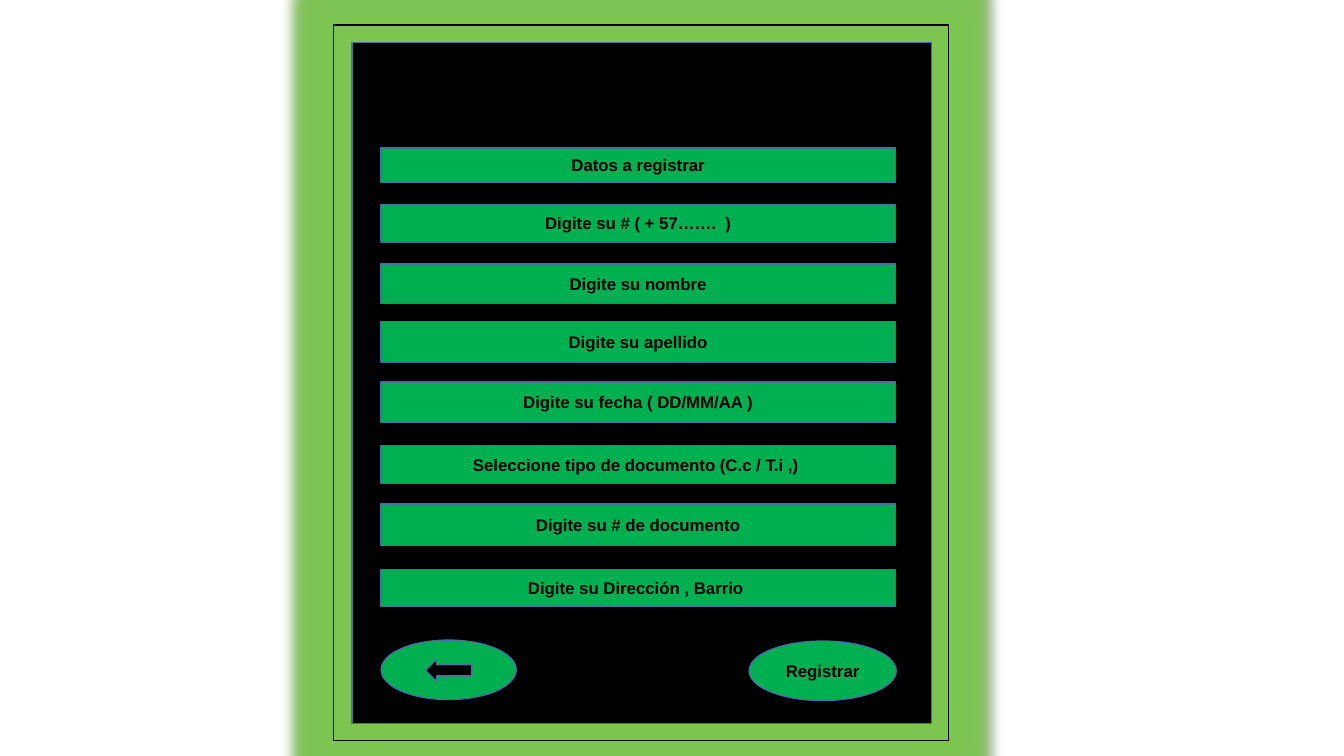
import pptx
import pptx.dml.color
import pptx.enum.shapes
import pptx.enum.text
import pptx.oxml
import pptx.oxml.ns
import pptx.util

SHAPES = pptx.enum.shapes.MSO_SHAPE
GREEN, BLACK, EDGE, GLOW = "00B050", "000000", "43739E", "7CC74F"

# label, top, height
FIELDS = [
    ("Datos a registrar", 1.47, 0.34),
    ("Digite su # ( + 57…….  )", 2.03, 0.37),
    ("Digite su nombre", 2.62, 0.39),
    ("Digite su apellido", 3.19, 0.4),
    ("Digite su fecha ( DD/MM/AA )", 3.79, 0.4),
    ("Seleccione tipo de documento (C.c / T.i ,) ", 4.42, 0.38),
    ("Digite su # de documento", 5, 0.41),
    ("Digite su Dirección , Barrio ", 5.65, 0.37),
]
FIELD_LEFT, FIELD_WIDTH = 3.78, 5.1
FRAME = (3.31, 0.25, 6.1, 7.1)
PANEL = (3.49, 0.42, 5.75, 6.76)
BACK_BUTTON = (FIELD_LEFT, 6.35, 1.34, 0.59)
BACK_ARROW = (4.22, 6.54, 0.46, 0.22)
REGISTER_BUTTON = (7.43, 6.36, 1.46, 0.59)


def rgb(value):
    return pptx.dml.color.RGBColor.from_string(value)


def add_box(slide, kind, place, fill=GREEN, line=EDGE):
    box = slide.shapes.add_shape(kind, *(pptx.util.Inches(n) for n in place))
    box.shadow.inherit = False
    if fill:
        box.fill.solid()
        box.fill.fore_color.rgb = rgb(fill)
    else:
        box.fill.background()
    box.line.color.rgb = rgb(line)
    box.line.width = pptx.util.Pt(1)
    return box


def write(box, text, size=12, color=BLACK, bold=True, font="Arial"):
    frame = box.text_frame
    frame.word_wrap = True
    frame.vertical_anchor = pptx.enum.text.MSO_ANCHOR.MIDDLE
    paragraph = frame.paragraphs[0]
    paragraph.alignment = pptx.enum.text.PP_ALIGN.CENTER
    run = paragraph.add_run()
    run.text = text
    run.font.name = font
    run.font.size = pptx.util.Pt(size)
    run.font.bold = bold
    run.font.color.rgb = rgb(color)


def add_glow(box, color, radius, alpha):
    """Give the outline a soft glow and a small dark shadow at lower right."""
    effects = box._element.spPr.find(pptx.oxml.ns.qn("a:effectLst"))
    namespace = pptx.oxml.ns.nsdecls("a")
    effects.append(pptx.oxml.parse_xml(
        f'<a:glow {namespace} rad="{pptx.util.Pt(radius)}"><a:srgbClr val="{color}">'
        f'<a:alpha val="{alpha * 1000}"/></a:srgbClr></a:glow>'))
    effects.append(pptx.oxml.parse_xml(
        f'<a:outerShdw {namespace} blurRad="{pptx.util.Pt(4)}" dist="{pptx.util.Pt(3)}" '
        f'dir="2700000" algn="tl" rotWithShape="0"><a:srgbClr val="{BLACK}">'
        '<a:alpha val="40000"/></a:srgbClr></a:outerShdw>'))


def main():
    deck = pptx.Presentation()
    deck.slide_width = pptx.util.Inches(13.33)
    deck.slide_height = pptx.util.Inches(7.5)
    slide = deck.slides.add_slide(deck.slide_layouts[6])

    frame = add_box(slide, SHAPES.RECTANGLE, FRAME, fill=None, line=BLACK)
    add_glow(frame, GLOW, radius=18, alpha=90)
    add_box(slide, SHAPES.RECTANGLE, PANEL, fill=BLACK)

    for label, top, height in FIELDS:
        field = add_box(slide, SHAPES.RECTANGLE, (FIELD_LEFT, top, FIELD_WIDTH, height))
        write(field, label)

    add_box(slide, SHAPES.OVAL, BACK_BUTTON)
    write(add_box(slide, SHAPES.OVAL, REGISTER_BUTTON), "Registrar")
    add_box(slide, SHAPES.LEFT_ARROW, BACK_ARROW, fill=BLACK)

    deck.save("out.pptx")


if __name__ == "__main__":
    main()
